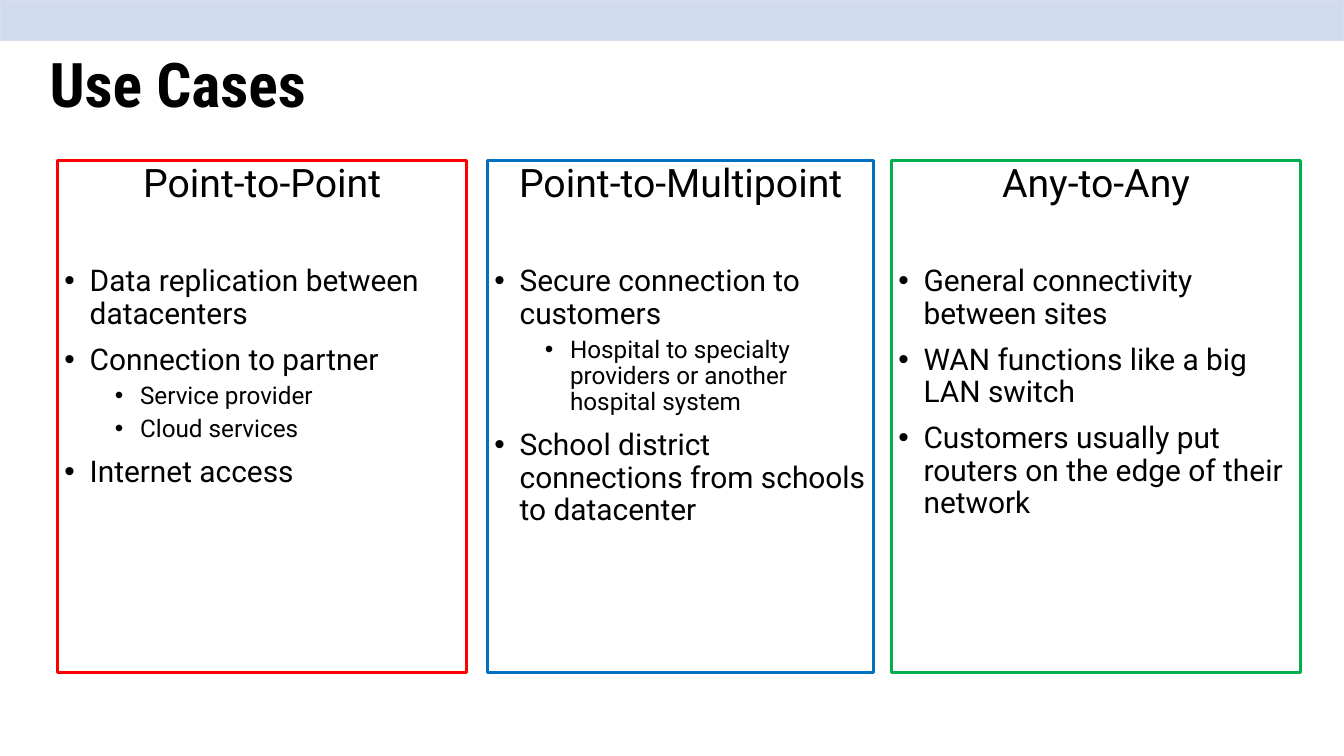
from lxml import etree
from pptx import Presentation
from pptx.dml.color import RGBColor
from pptx.enum.shapes import MSO_SHAPE
from pptx.enum.text import MSO_ANCHOR, PP_ALIGN
from pptx.oxml.ns import qn
from pptx.util import Pt

RECT = MSO_SHAPE.RECTANGLE
TOP, MIDDLE = MSO_ANCHOR.TOP, MSO_ANCHOR.MIDDLE
LEFT, CENTER = PP_ALIGN.LEFT, PP_ALIGN.CENTER

SLIDE_W, SLIDE_H = 1440, 810
COLUMN_TOP, COLUMN_H = 172, 548.6
HEADING_GAP = 64
LEVELS = [
    {"size": 32, "before": 15, "indent": 27},
    {"size": 26, "before": 7.5, "indent": 81},
]
COLUMNS = [
    (62, 437.8, "FF0000", "Point-to-Point", [
        (0, "Data replication between datacenters"),
        (0, "Connection to partner"),
        (1, "Service provider"),
        (1, "Cloud services"),
        (0, "Internet access"),
    ]),
    (522.7, 413.3, "0070C0", "Point-to-Multipoint", [
        (0, "Secure connection to customers"),
        (1, "Hospital to specialty providers or another hospital system"),
        (0, "School district connections from schools to datacenter"),
    ]),
    (955.4, 437.8, "00B050", "Any-to-Any", [
        (0, "General connectivity between sites"),
        (0, "WAN functions like a big LAN switch"),
        (0, "Customers usually put routers on the edge of their network"),
    ]),
]


def rgb(value):
    """Turn a hex string into a colour."""
    return RGBColor.from_string(value)


def add_box(s, x, y, w, h, line, width, fill=None):
    """Add an outlined rectangle, filled if a colour is given."""
    sp = s.shapes.add_shape(RECT, Pt(x), Pt(y), Pt(w), Pt(h))
    sp.shadow.inherit = False
    if fill:
        sp.fill.solid()
        sp.fill.fore_color.rgb = rgb(fill)
    else:
        sp.fill.background()
    sp.line.color.rgb = rgb(line)
    sp.line.width = Pt(width)
    return sp


def set_text(p, text, size, font="Roboto", bold=False, align=LEFT, before=0):
    """Write and format the text of one paragraph."""
    p.text = text
    p.alignment = align
    p.line_spacing = 0.9
    p.space_before = Pt(before)
    for r in p.runs:
        r.font.name = font
        r.font.size = Pt(size)
        r.font.bold = bold
        r.font.color.rgb = rgb("000000")


def add_bullet(p, indent):
    """Give a paragraph a hanging bullet."""
    pPr = p._p.get_or_add_pPr()
    pPr.set("marL", str(Pt(indent)))
    pPr.set("indent", str(Pt(-27)))
    etree.SubElement(pPr, qn("a:buFont")).set("typeface", "Arial")
    etree.SubElement(pPr, qn("a:buChar")).set("char", "•")


def add_title(s, x, y, w, h, text):
    """Add the slide title, centred vertically in its box."""
    tf = s.shapes.add_textbox(Pt(x), Pt(y), Pt(w), Pt(h)).text_frame
    tf.word_wrap = True
    tf.vertical_anchor = MIDDLE
    set_text(tf.paragraphs[0], text, 66, "Roboto Condensed", True)


def add_column(s, x, y, w, h, color, heading, items):
    """Add an outlined column with a heading and bullets."""
    tf = add_box(s, x, y, w, h, color, 3).text_frame
    tf.word_wrap = True
    tf.vertical_anchor = TOP
    set_text(tf.paragraphs[0], heading, 42, align=CENTER)
    for i, (level, text) in enumerate(items):
        style = LEVELS[level]
        p = tf.add_paragraph()
        p.level = level
        before = style["before"] if i else HEADING_GAP
        set_text(p, text, style["size"], before=before)
        add_bullet(p, style["indent"])


def main():
    """Build and save the slide."""
    prs = Presentation()
    prs.slide_width, prs.slide_height = Pt(SLIDE_W), Pt(SLIDE_H)
    s = prs.slides.add_slide(prs.slide_layouts[6])
    add_box(s, 0, 0, SLIDE_W, 43.2, "D9DEEA", 1, "D1DBF0")
    add_title(s, 46, 16, 1242, 156, "Use Cases")
    for x, w, color, heading, items in COLUMNS:
        add_column(s, x, COLUMN_TOP, w, COLUMN_H, color, heading, items)
    prs.save("out.pptx")


if __name__ == "__main__":
    main()
